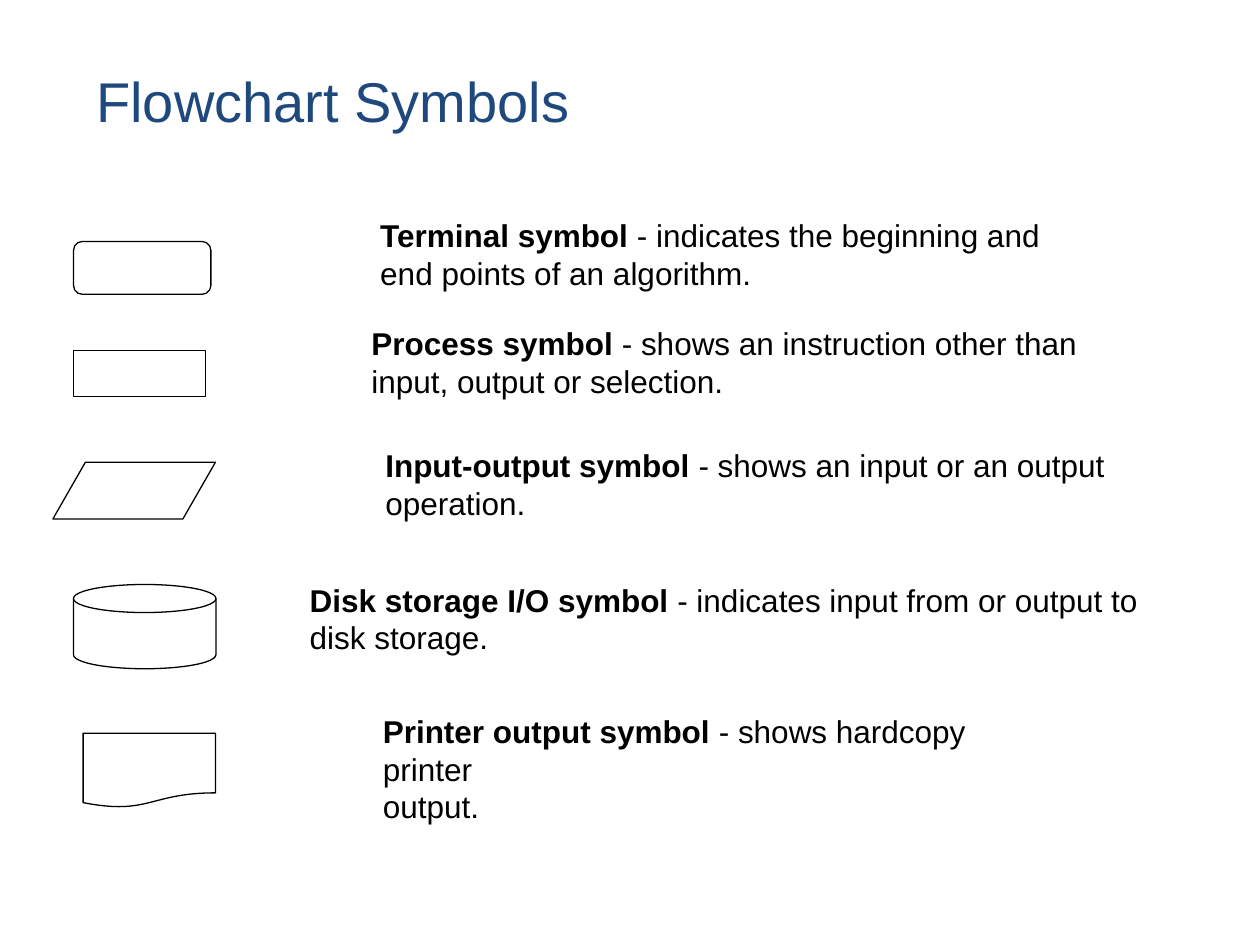
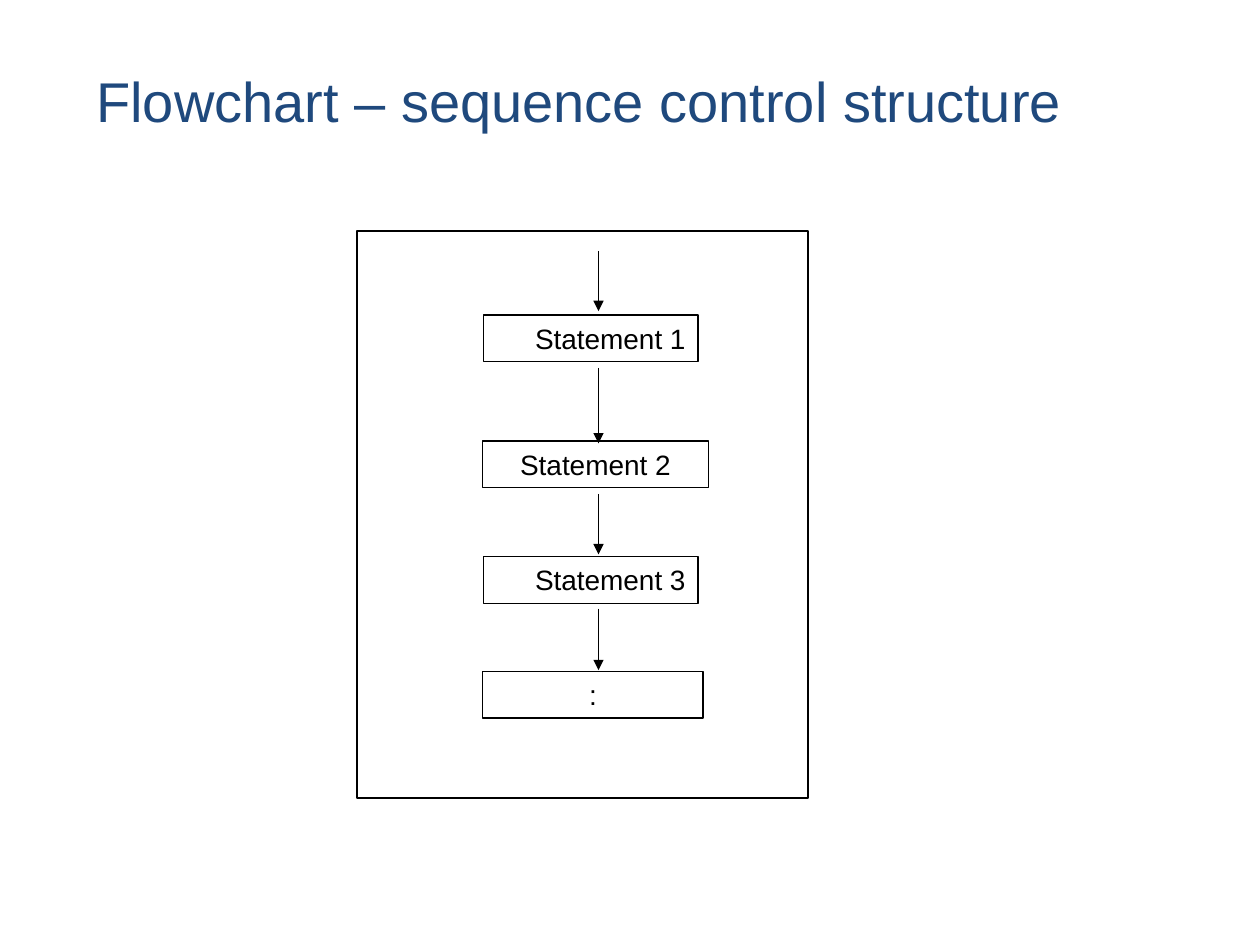
from dataclasses import dataclass

from lxml import etree
from pptx import Presentation
from pptx.dml.color import RGBColor
from pptx.enum import shapes, text
from pptx.oxml import ns
from pptx.util import Pt

SHAPE = shapes.MSO_SHAPE


@dataclass(frozen=True)
class Theme:
    font: str = "Arial"
    title_color: RGBColor = RGBColor(0x1F, 0x49, 0x7D)
    ink: RGBColor = RGBColor(0, 0, 0)
    title_size: float = 32
    body_size: float = 18
    box_size: float = 16
    line_width: float = 0.75
    inset_x: float = 7.2
    inset_y: float = 3.6


@dataclass(frozen=True)
class Box:
    left: float
    top: float
    width: float
    height: float

    def lengths(self) -> tuple:
        return Pt(self.left), Pt(self.top), Pt(self.width), Pt(self.height)


@dataclass(frozen=True)
class Symbol:
    kind: SHAPE
    box: Box
    name: str
    lines: tuple[str, ...]
    text_left: float
    text_top: float
    text_width: float
    wrap: bool = False


@dataclass(frozen=True)
class Step:
    """A statement box with the arrow that leads into it."""
    label: str
    left: float
    top: float
    width: float
    arrow_start: float
    arrow_end: float
    indent: float = 0


THEME = Theme()
TITLE_BOX = Box(48, 18, 642.2, 78)
DESCRIPTION_HEIGHT = 50.4
FRAME = Box(204, 132, 257.8, 324)
STEP_HEIGHT = 26.6
ARROW_X = 342

SYMBOLS = (
    Symbol(SHAPE.FLOWCHART_ALTERNATE_PROCESS, Box(42, 138, 78.5, 30.2),
           "Terminal symbol",
           (" - indicates the beginning and", "end points of an algorithm."),
           210.2, 120.2, 397.4),
    Symbol(SHAPE.FLOWCHART_PROCESS, Box(42, 200.2, 75.6, 26.6),
           "Process symbol",
           (" - shows an instruction other than", "input, output or selection."),
           205.2, 181.6, 417.6),
    Symbol(SHAPE.FLOWCHART_DATA, Box(30.2, 264.2, 92.9, 32.4),
           "Input-output symbol",
           (" - shows an input or an output", "operation."),
           213.1, 251.3, 430.6),
    Symbol(SHAPE.FLOWCHART_MAGNETIC_DISK, Box(42, 334, 81.4, 48.2),
           "Disk storage I/O symbol",
           (" - indicates input from or output to disk storage.",),
           169.9, 328.3, 491.8, wrap=True),
    Symbol(SHAPE.FLOWCHART_DOCUMENT, Box(47.5, 419, 75.6, 42.5),
           "Printer output symbol",
           (" - shows hardcopy printer", "output."),
           211.7, 403.2, 403.2),
)

STEPS = (
    Step("Statement 1", 276.5, 180, 122.4, 143.3, 177.8, indent=22.2),
    Step("Statement 2", 275.8, 252, 128.9, 210.2, 253.4),
    Step("Statement 3", 276.5, 318.2, 122.4, 282.2, 316.8, indent=22.2),
    Step(":", 275.8, 383.8, 126, 347.8, 383),
)


def style_text(tf, size: float, color: RGBColor) -> None:
    for p in tf.paragraphs:
        for r in p.runs:
            r.font.name = THEME.font
            r.font.size = Pt(size)
            r.font.color.rgb = color


def set_frame(tf, wrap: bool, anchor=text.MSO_ANCHOR.TOP, indent: float = 0) -> None:
    tf.word_wrap = wrap
    tf.vertical_anchor = anchor
    tf.margin_left = Pt(THEME.inset_x + indent)
    tf.margin_right = Pt(THEME.inset_x)
    tf.margin_top = tf.margin_bottom = Pt(THEME.inset_y)


def add_title(s, title: str) -> None:
    tf = s.shapes.add_textbox(*TITLE_BOX.lengths()).text_frame
    set_frame(tf, True, text.MSO_ANCHOR.MIDDLE)
    tf.text = title
    style_text(tf, THEME.title_size, THEME.title_color)


def add_outline(container, kind: SHAPE, box: Box):
    sp = container.shapes.add_shape(kind, *box.lengths())
    sp.shadow.inherit = False
    sp.fill.background()
    sp.line.color.rgb = THEME.ink
    sp.line.width = Pt(THEME.line_width)
    return sp


def add_description(s, symbol: Symbol) -> None:
    box = Box(symbol.text_left, symbol.text_top, symbol.text_width, DESCRIPTION_HEIGHT)
    tf = s.shapes.add_textbox(*box.lengths()).text_frame
    set_frame(tf, symbol.wrap)
    p = tf.paragraphs[0]
    r = p.add_run()
    r.text = symbol.name
    r.font.bold = True
    p.add_run().text = symbol.lines[0]
    for line in symbol.lines[1:]:
        tf.add_paragraph().text = line
    style_text(tf, THEME.body_size, THEME.ink)


def add_down_arrow(container, start: float, end: float) -> None:
    arrow = container.shapes.add_connector(
        shapes.MSO_CONNECTOR.STRAIGHT, Pt(ARROW_X), Pt(start), Pt(ARROW_X), Pt(end))
    arrow.line.color.rgb = THEME.ink
    arrow.line.width = Pt(THEME.line_width)
    etree.SubElement(arrow.line._get_or_add_ln(), ns.qn("a:tailEnd"), type="triangle")
    etree.SubElement(arrow._element.spPr, ns.qn("a:effectLst"))


def add_step(container, step: Step) -> None:
    add_down_arrow(container, step.arrow_start, step.arrow_end)
    sp = add_outline(container, SHAPE.RECTANGLE,
                     Box(step.left, step.top, step.width, STEP_HEIGHT))
    tf = sp.text_frame
    set_frame(tf, not step.indent, indent=step.indent)
    tf.text = step.label
    tf.paragraphs[0].alignment = text.PP_ALIGN.CENTER
    style_text(tf, THEME.box_size, THEME.ink)


def add_slide(prs, title: str):
    s = prs.slides.add_slide(prs.slide_layouts[6])
    add_title(s, title)
    return s


def build_symbols(prs) -> None:
    s = add_slide(prs, "Flowchart Symbols")
    for symbol in SYMBOLS:
        add_outline(s, symbol.kind, symbol.box)
        add_description(s, symbol)


def build_sequence(prs) -> None:
    s = add_slide(prs, "Flowchart – sequence control structure")
    flowchart = s.shapes.add_group_shape()
    add_outline(flowchart, SHAPE.RECTANGLE, FRAME)
    for step in STEPS:
        add_step(flowchart, step)


def main() -> None:
    prs = Presentation()
    prs.slide_width, prs.slide_height = Pt(720), Pt(540)
    build_symbols(prs)
    build_sequence(prs)
    prs.save("out.pptx")


if __name__ == "__main__":
    main()
